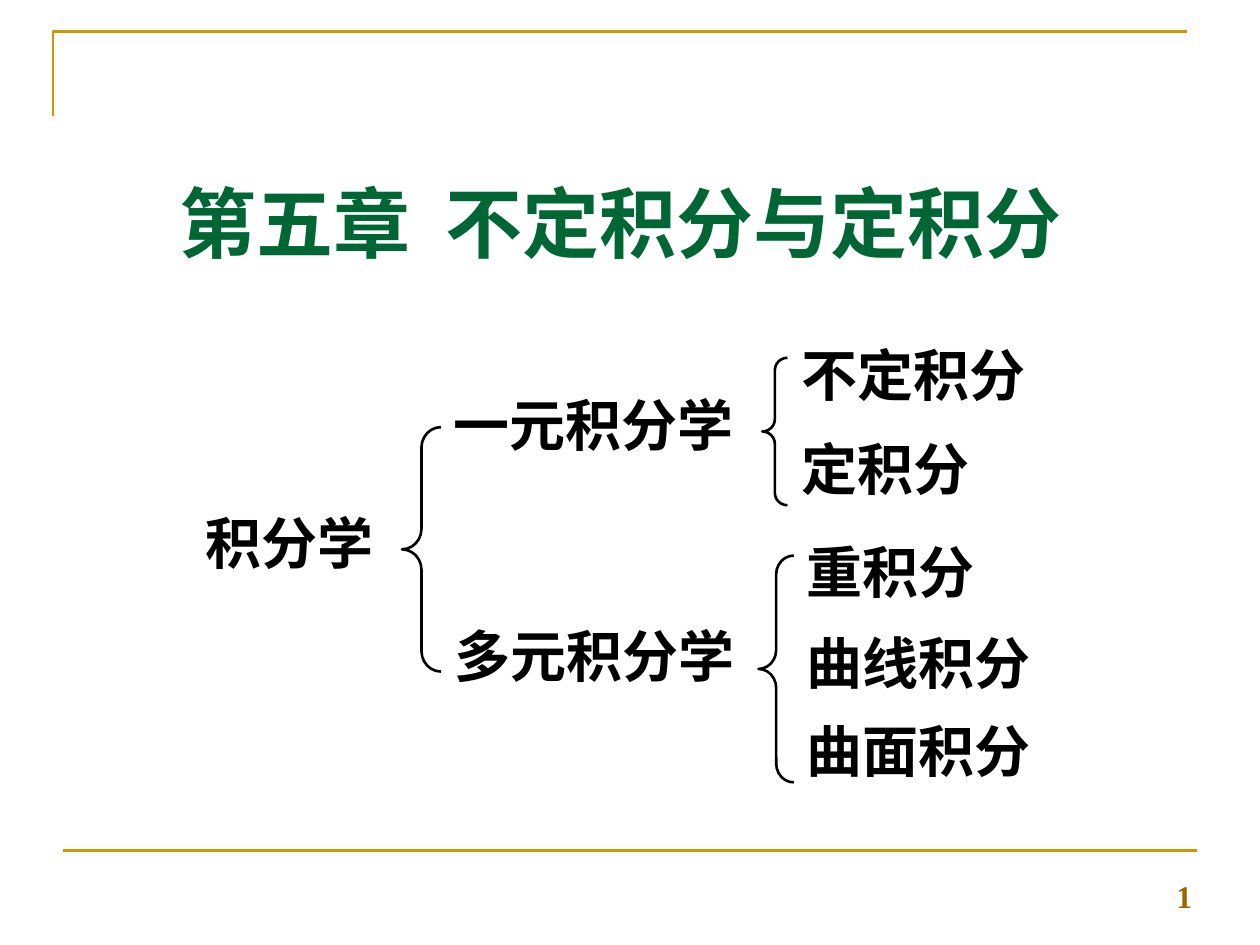
from pptx import Presentation
from pptx.dml.color import RGBColor
from pptx.enum.shapes import MSO_CONNECTOR, MSO_SHAPE
from pptx.enum.text import MSO_ANCHOR, PP_ALIGN
from pptx.oxml.ns import qn
from pptx.util import Inches, Pt
from lxml import etree

GOLD = RGBColor(0xCC, 0x99, 0x00)
BROWN = RGBColor(0x99, 0x66, 0x00)
GREEN = RGBColor(0x00, 0x66, 0x33)
BLACK = RGBColor(0x00, 0x00, 0x00)
LEFT, MID, RIGHT = PP_ALIGN.LEFT, PP_ALIGN.CENTER, PP_ALIGN.RIGHT
TOP, CENTER, BOTTOM = MSO_ANCHOR.TOP, MSO_ANCHOR.MIDDLE, MSO_ANCHOR.BOTTOM
SERIF, SANS = "Times New Roman", "Noto Sans CJK SC"
COLS, ROWS = 100, 75


def write(shape, text, size=32, color=BLACK, face=SERIF, align=LEFT, anchor=TOP):
    frame = shape.text_frame
    frame.word_wrap = True
    frame.vertical_anchor = anchor
    para = frame.paragraphs[0]
    para.alignment = align
    run = para.add_run()
    run.text = text
    font = run.font
    font.size, font.bold, font.name = Pt(size), True, face
    font.color.rgb = color
    east = etree.SubElement(font._element, qn("a:ea"))
    east.set("typeface", SANS)


class Board:
    """The current slide, measured in columns and rows of a fine grid."""

    def __init__(self, deck):
        self.slide = deck.slides.add_slide(deck.slide_layouts[5])
        self.shapes = self.slide.shapes
        self.col = deck.slide_width / COLS
        self.row = deck.slide_height / ROWS

    def spot(self, x, y):
        return round(x * self.col), round(y * self.row)

    def stroke(self, shape, color):
        shape.line.color.rgb = color
        shape.line.width = Pt(1.5)

    def title(self, text, x, y, w, h):
        shape = self.shapes.title
        shape.left, shape.top = self.spot(x, y)
        shape.width, shape.height = self.spot(w, h)
        write(shape, text, size=44, color=GREEN, face=SANS, align=MID, anchor=CENTER)

    def label(self, text, x, y, w, h=6.4, **style):
        write(self.shapes.add_textbox(*self.spot(x, y), *self.spot(w, h)), text, **style)

    def brace(self, x, y, w, h):
        shape = self.shapes.add_shape(
            MSO_SHAPE.LEFT_BRACE, *self.spot(x, y), *self.spot(w, h))
        shape.shadow.inherit = False
        shape.fill.background()
        shape.adjustments[0] = h / 12 / w  # each curve takes a twelfth of the height
        self.stroke(shape, BLACK)

    def rule(self, x, y, end):
        line = self.shapes.add_connector(
            MSO_CONNECTOR.STRAIGHT, *self.spot(x, y), *self.spot(end, y))
        etree.SubElement(line._element.spPr, qn("a:effectLst"))
        self.stroke(line, GOLD)

    def corner(self, x, y, w, h):
        pen = self.shapes.build_freeform(*self.spot(x, y + h))
        pen.add_line_segments([self.spot(x, y), self.spot(x + w, y)], close=False)
        shape = pen.convert_to_shape()
        shape.shadow.inherit = False
        shape.fill.background()
        self.stroke(shape, GOLD)


def main():
    deck = Presentation()
    deck.slide_width, deck.slide_height = Inches(10), Inches(7.5)
    board = Board(deck)

    board.corner(4.2, 2.5, 90, 6.7)
    board.rule(5, 67.5, 95)
    board.title("第五章  不定积分与定积分", 9.7, 13.4, 79.1, 8.4)

    for text, x, y, w in (
        ("积分学", 15.3, 39.9, 21.3),
        ("一元积分学", 35, 30.5, 32.3),
        ("多元积分学", 35.1, 48.8, 32.3),
        ("不定积分", 62.6, 26.5, 27.6),
        ("定积分", 62.6, 34, 22.5),
        ("重积分", 63, 42.2, 19.7),
        ("曲线积分", 63, 49.4, 22.5),
        ("曲面积分", 63, 56.4, 22.5),
    ):
        board.label(text, x, y, w)

    for box in (
        (31.9, 33.9, 3.1, 19.4),
        (60.5, 28.4, 2, 11.7),
        (60.2, 44.1, 2.8, 18),
    ):
        board.brace(*box)

    board.label("1", 72.3, 68.1, 23.3, 5, size=18, color=BROWN, align=RIGHT, anchor=BOTTOM)
    deck.save("out.pptx")


if __name__ == "__main__":
    main()
